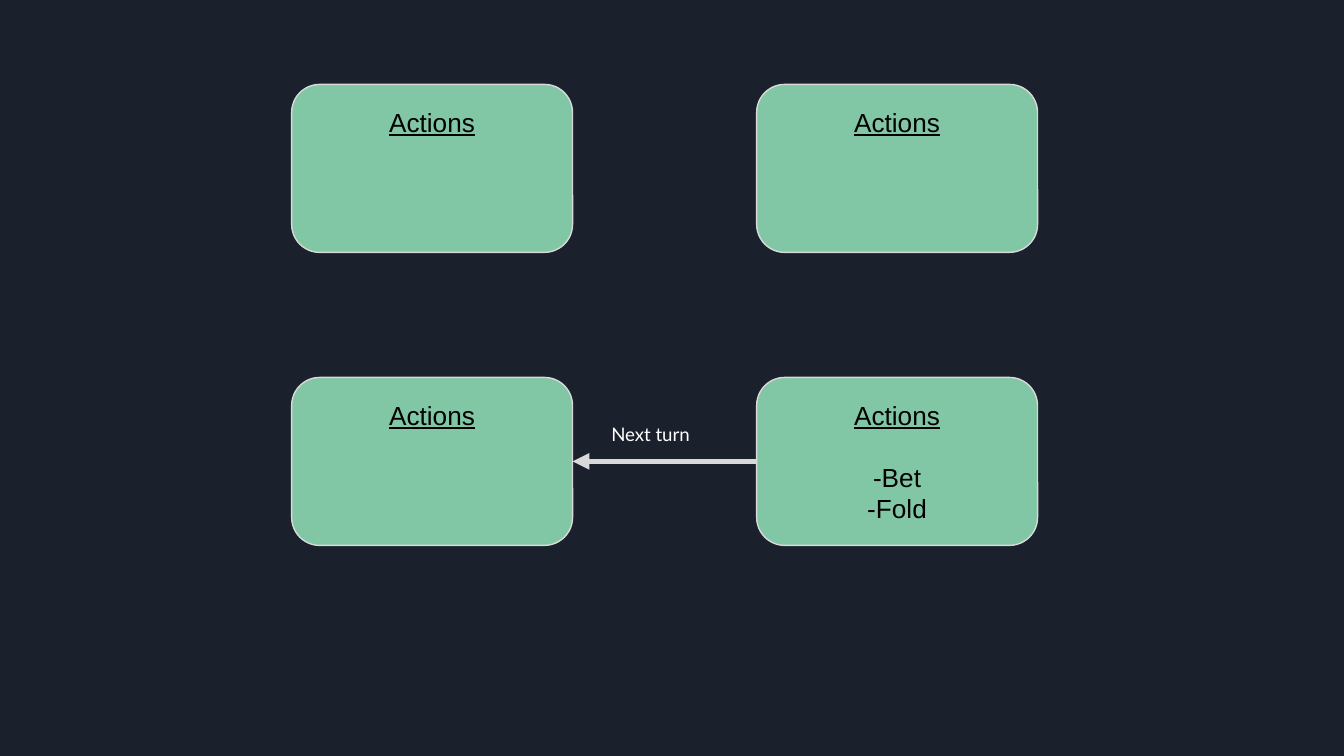
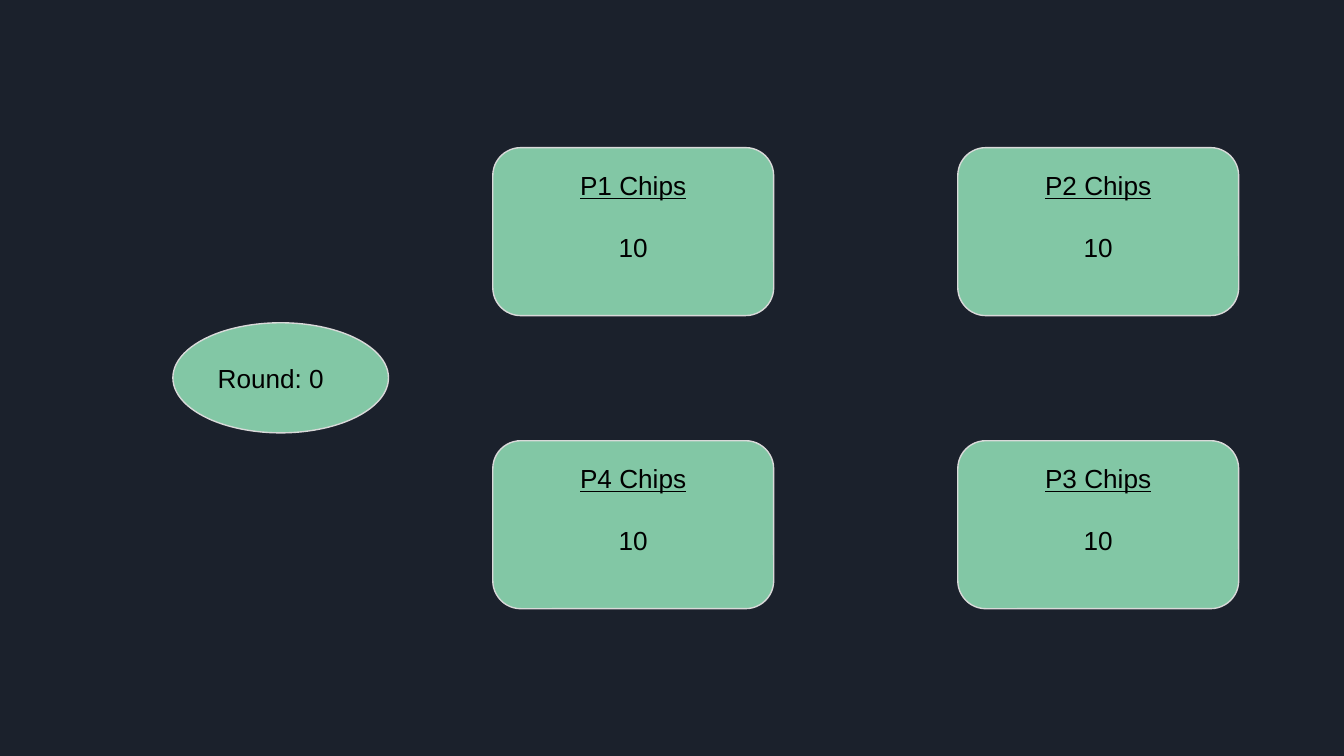
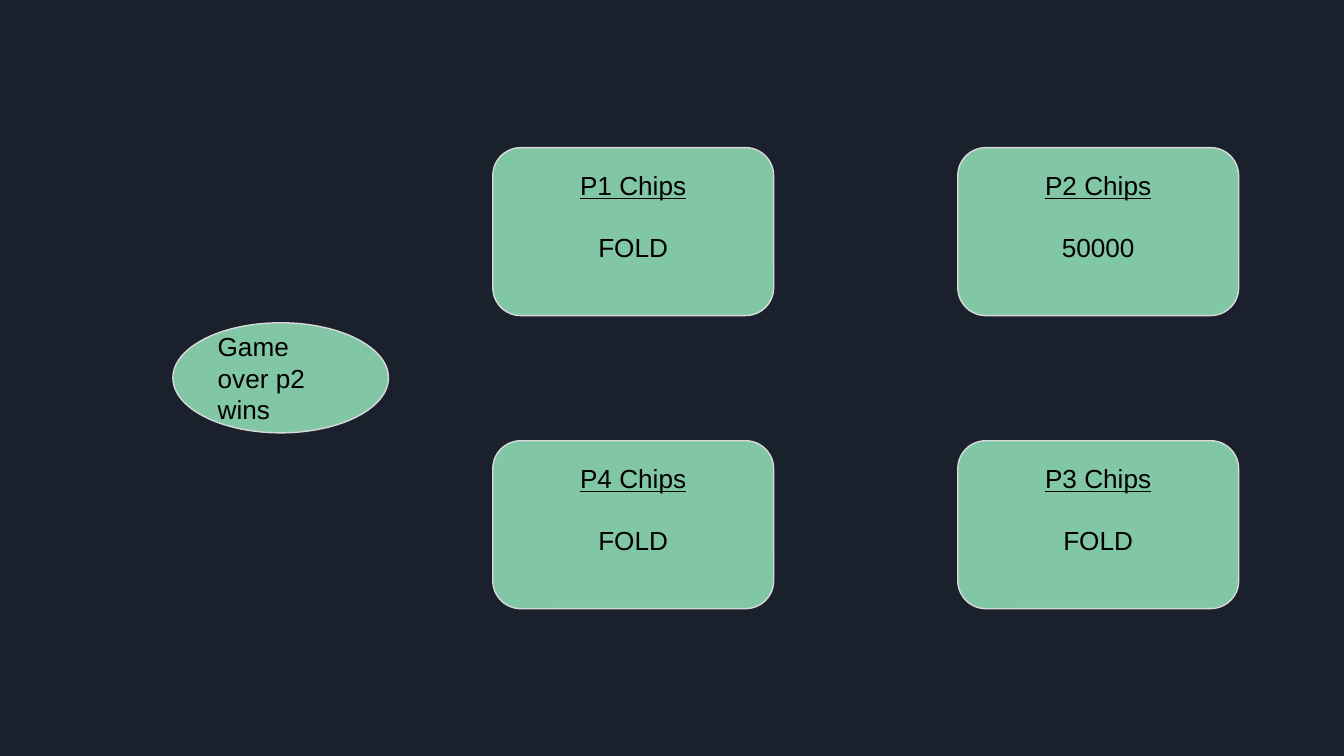
from dataclasses import dataclass

from lxml.etree import SubElement
from pptx import Presentation
from pptx.dml.color import RGBColor
from pptx.enum.shapes import MSO_CONNECTOR, MSO_SHAPE
from pptx.enum.text import MSO_ANCHOR, MSO_AUTO_SIZE, PP_ALIGN
from pptx.oxml.ns import qn
from pptx.util import Pt


@dataclass(frozen=True)
class Theme:
    background: RGBColor = RGBColor.from_string("1B212C")
    fill: RGBColor = RGBColor.from_string("82C7A5")
    line: RGBColor = RGBColor.from_string("D9D9D9")
    ink: RGBColor = RGBColor.from_string("000000")
    light: RGBColor = RGBColor.from_string("FFFFFF")
    font: str = "Arial"
    label_font: str = "Lato"
    size: float = 14
    label_size: float = 10
    outline: float = 0.75
    arrow: float = 3


theme = Theme()

BOX_W, BOX_H = 150.5, 90
PITCH_X, PITCH_Y = 249.1, 157
CLOCKWISE = [(0, 0), (1, 0), (1, 1), (0, 1)]
HEADING_GAP = 16.5


def write_text(sp, lines, *, size=theme.size, font=theme.font, color=theme.ink,
               align=PP_ALIGN.LEFT, anchor=MSO_ANCHOR.TOP, heading=False):
    """Fill a shape with one paragraph per line; a heading is underlined and set apart."""
    tf = sp.text_frame
    tf.word_wrap = True
    tf.vertical_anchor = anchor
    tf.margin_left = tf.margin_right = tf.margin_top = tf.margin_bottom = Pt(7.2)
    for i, line in enumerate(lines):
        p = tf.paragraphs[0] if i == 0 else tf.add_paragraph()
        p.alignment = align
        r = p.add_run()
        r.text = line
        r.font.size = Pt(size)
        r.font.name = font
        r.font.color.rgb = color
        if heading and i == 0:
            r.font.underline = True
            p.space_after = Pt(HEADING_GAP)


def add_node(slide, kind, x, y, w, h, lines, **text_format):
    sp = slide.shapes.add_shape(kind, Pt(x), Pt(y), Pt(w), Pt(h))
    sp.shadow.inherit = False
    sp.fill.solid()
    sp.fill.fore_color.rgb = theme.fill
    sp.line.color.rgb = theme.line
    sp.line.width = Pt(theme.outline)
    write_text(sp, lines, **text_format)
    return sp


prs = Presentation()
prs.slide_width, prs.slide_height = Pt(720), Pt(405)
bg = prs.slide_master.background.fill
bg.solid()
bg.fore_color.rgb = theme.background
blank = prs.slide_layouts[6]

# Each slide: grid corner, box texts clockwise from top left, text of the status oval
chips = [f"P{n} Chips" for n in range(1, 5)]
slides = [
    (156.25, 45.2,
     [["Actions"], ["Actions"], ["Actions", "-Bet", "-Fold"], ["Actions"]], None),
    (264, 79.1, [[name, "10"] for name in chips], "Round: 0"),
    (264, 79.1, list(zip(chips, ["FOLD", "50000", "FOLD", "FOLD"])),
     "Game over p2 wins"),
]

for left, top, texts, status in slides:
    slide = prs.slides.add_slide(blank)
    boxes = [
        add_node(slide, MSO_SHAPE.ROUNDED_RECTANGLE,
                 left + col * PITCH_X, top + row * PITCH_Y, BOX_W, BOX_H, lines,
                 align=PP_ALIGN.CENTER, heading=True)
        for (col, row), lines in zip(CLOCKWISE, texts)
    ]
    if status:
        add_node(slide, MSO_SHAPE.OVAL, 92.6, 172.9, 115.5, 59, [status],
                 anchor=MSO_ANCHOR.MIDDLE)
        continue

    # Turn arrow from the bottom right box to the bottom left one
    arrow = slide.shapes.add_connector(MSO_CONNECTOR.STRAIGHT, 0, 0, 0, 0)
    arrow.begin_connect(boxes[2], 1)
    arrow.end_connect(boxes[3], 3)
    arrow.line.color.rgb = theme.line
    arrow.line.width = Pt(theme.arrow)
    SubElement(arrow.line._get_or_add_ln(), qn("a:tailEnd"), type="triangle")
    SubElement(arrow._element.spPr, qn("a:effectLst"))

    label = slide.shapes.add_textbox(Pt(320.4), Pt(220.3), Pt(70.6), Pt(26.6))
    write_text(label, ["Next turn"], size=theme.label_size, font=theme.label_font,
               color=theme.light)
    label.text_frame.auto_size = MSO_AUTO_SIZE.SHAPE_TO_FIT_TEXT

prs.save("out.pptx")
